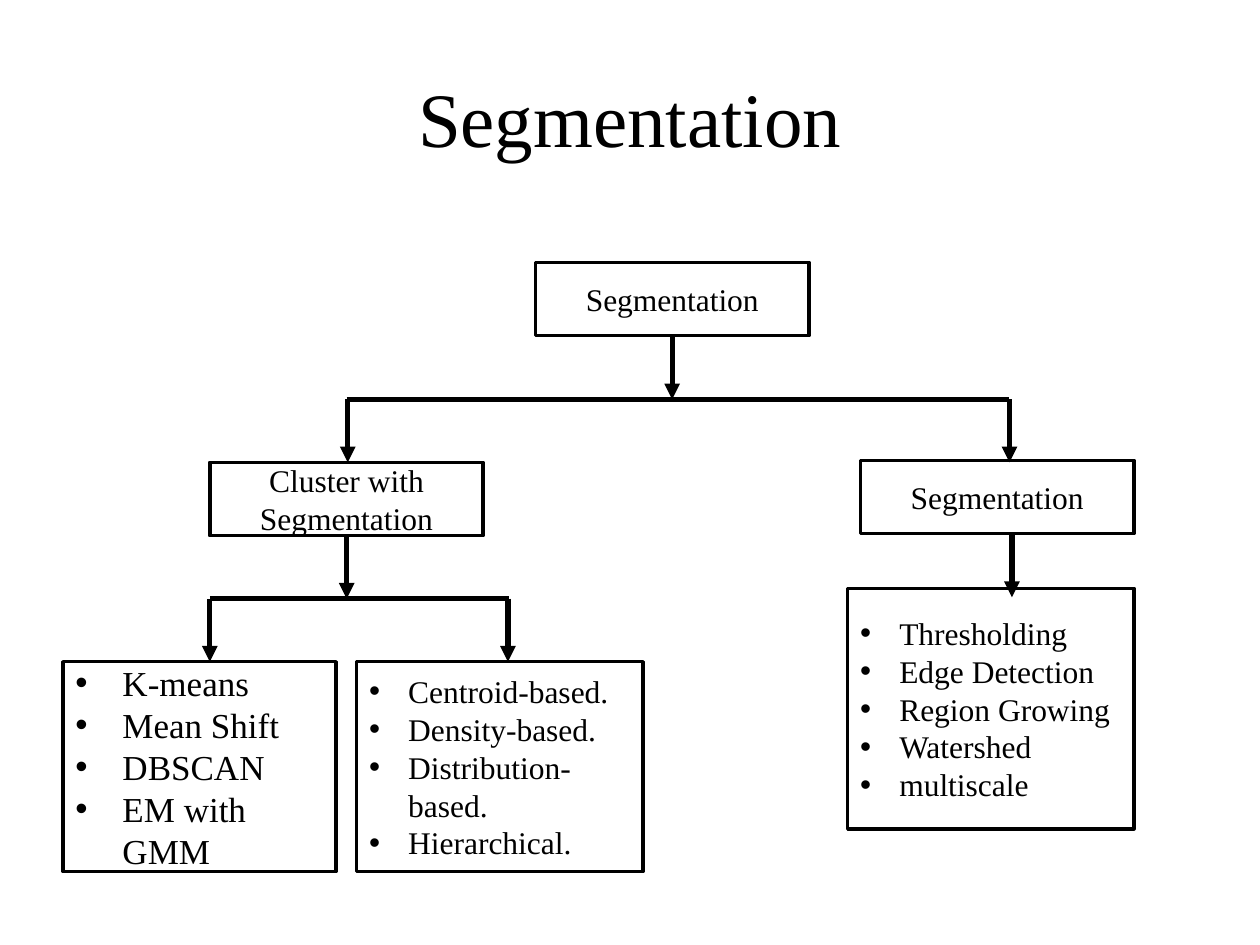
from dataclasses import dataclass

from lxml import etree
from pptx import Presentation
from pptx.dml.color import RGBColor
from pptx.enum.shapes import MSO_CONNECTOR, MSO_SHAPE
from pptx.enum.text import MSO_ANCHOR, PP_ALIGN
from pptx.oxml.ns import qn
from pptx.util import Cm, Pt

FONT = "Times New Roman"
INK = "000000"
NODE_W, NODE_H = 5.51, 1.48
DROP = 1.27


@dataclass
class Box:
    """A framed box; an indent above zero makes its lines a bullet list."""
    left: float
    top: float
    width: float
    height: float
    lines: tuple[str, ...]
    size: int = 18
    indent: float = 0


@dataclass
class Drop:
    """A vertical arrow of the common length."""
    x: float
    top: float


@dataclass
class Bar:
    """A horizontal line that joins branches."""
    left: float
    right: float
    y: float


def rgb(value: str) -> RGBColor:
    """Turn a hex string into a colour."""
    return RGBColor.from_string(value)


def write_text(shape, lines: tuple[str, ...], size: int, indent: float = 0) -> None:
    """Fill a shape with centred lines or with bullets."""
    frame = shape.text_frame
    frame.word_wrap = True
    frame.vertical_anchor = MSO_ANCHOR.MIDDLE
    for index, line in enumerate(lines):
        paragraph = frame.add_paragraph() if index else frame.paragraphs[0]
        paragraph.alignment = PP_ALIGN.LEFT if indent else PP_ALIGN.CENTER
        run = paragraph.add_run()
        run.text = line
        run.font.name = FONT
        run.font.size = Pt(size)
        run.font.color.rgb = rgb(INK)
        if indent:
            props = paragraph._p.get_or_add_pPr()
            props.set("marL", str(Cm(indent)))
            props.set("indent", str(-Cm(indent)))
            etree.SubElement(props, qn("a:buFont")).set("typeface", "Arial")
            etree.SubElement(props, qn("a:buChar")).set("char", "•")


def draw_box(slide, box: Box) -> None:
    """Draw one framed box with its text."""
    shape = slide.shapes.add_shape(
        MSO_SHAPE.RECTANGLE, Cm(box.left), Cm(box.top), Cm(box.width), Cm(box.height))
    shape.shadow.inherit = False
    shape.fill.background()
    shape.line.color.rgb = rgb(INK)
    shape.line.width = Pt(2)
    write_text(shape, box.lines, box.size, box.indent)


def draw_line(slide, x1: float, y1: float, x2: float, y2: float,
              width: float, arrow: bool = False) -> None:
    """Draw a straight line, with an arrowhead at its end if wanted."""
    line = slide.shapes.add_connector(
        MSO_CONNECTOR.STRAIGHT, Cm(x1), Cm(y1), Cm(x2), Cm(y2))
    line.line.color.rgb = rgb(INK)
    line.line.width = Pt(width)
    if arrow:
        etree.SubElement(line.line._get_or_add_ln(), qn("a:tailEnd")).set("type", "triangle")
    etree.SubElement(line._element.spPr, qn("a:effectLst"))


BOXES = [
    Box(10.8, 5.29, NODE_W, NODE_H, ("Segmentation",)),
    Box(4.23, 9.32, NODE_W, NODE_H, ("Cluster with Segmentation",)),
    Box(17.35, 9.28, NODE_W, NODE_H, ("Segmentation",)),
    Box(1.27, 13.34, NODE_W, 4.23,
        ("K-means", "Mean Shift", "DBSCAN", "EM with GMM"), 20, 0.95),
    Box(7.19, 13.34, 5.77, 4.23,
        ("Centroid-based.", "Density-based.", "Distribution-based.", "Hierarchical."),
        indent=0.79),
    Box(17.09, 11.86, 5.77, 4.85,
        ("Thresholding", "Edge Detection", "Region Growing", "Watershed", "multiscale"),
        indent=0.79),
]
BARS = [Bar(6.99, 20.35, 8.05), Bar(4.23, 10.26, 12.07)]
DROPS = [
    Drop(13.55, 6.78), Drop(7.01, 8.05), Drop(20.35, 8.05), Drop(6.99, 10.8),
    Drop(20.4, 10.77), Drop(4.23, 12.07), Drop(10.24, 12.07),
]


def main() -> None:
    """Build the slide and save it."""
    deck = Presentation()
    deck.slide_width, deck.slide_height = Cm(25.4), Cm(19.05)
    slide = deck.slides.add_slide(deck.slide_layouts[6])
    title = slide.shapes.add_textbox(Cm(1.27), Cm(0.76), Cm(22.86), Cm(3.18))
    write_text(title, ("Segmentation",), 44)
    for box in BOXES:
        draw_box(slide, box)
    for bar in BARS:
        draw_line(slide, bar.left, bar.y, bar.right, bar.y, 2.75)
    for drop in DROPS:
        draw_line(slide, drop.x, drop.top, drop.x, drop.top + DROP, 3, arrow=True)
    deck.save("out.pptx")


main()
